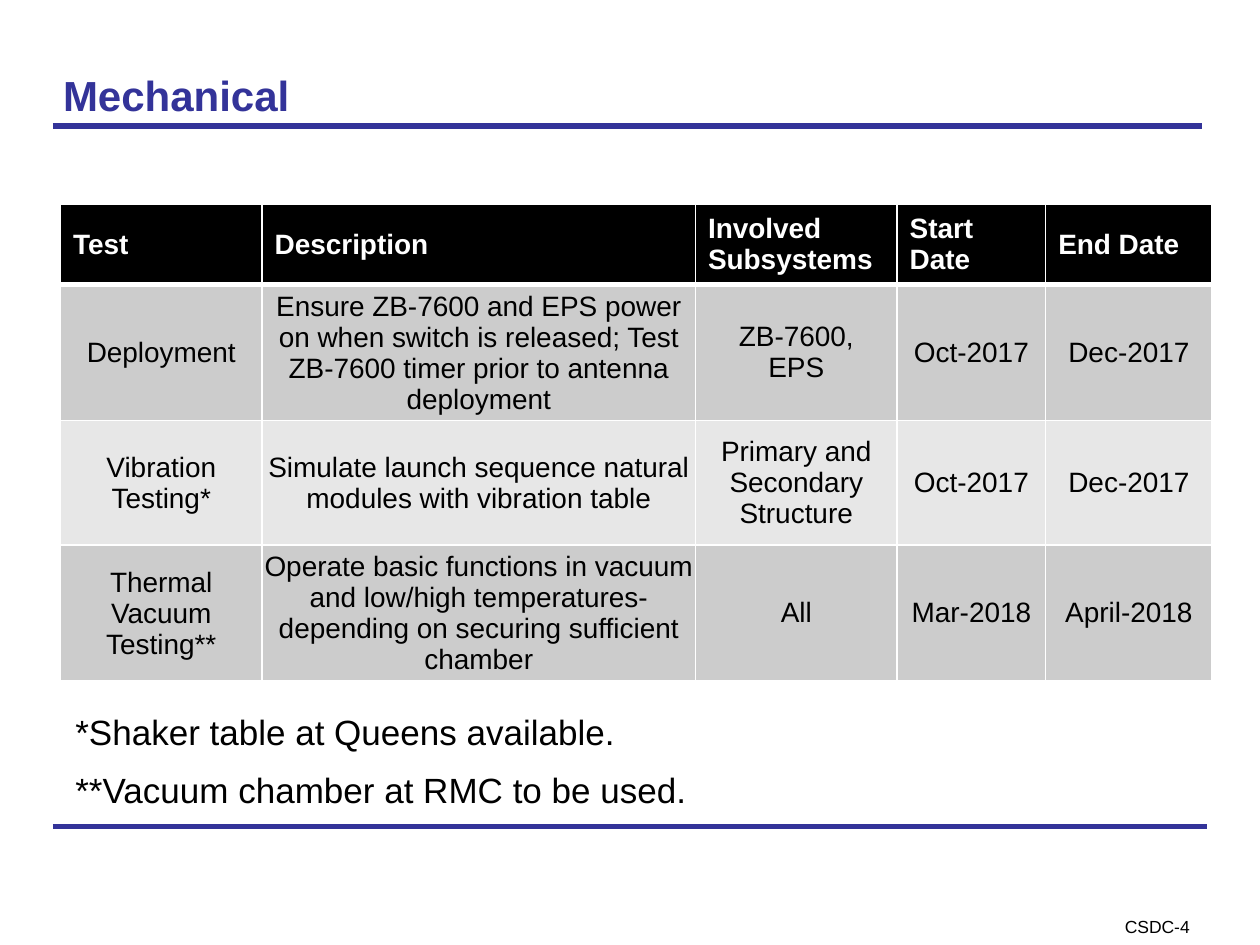
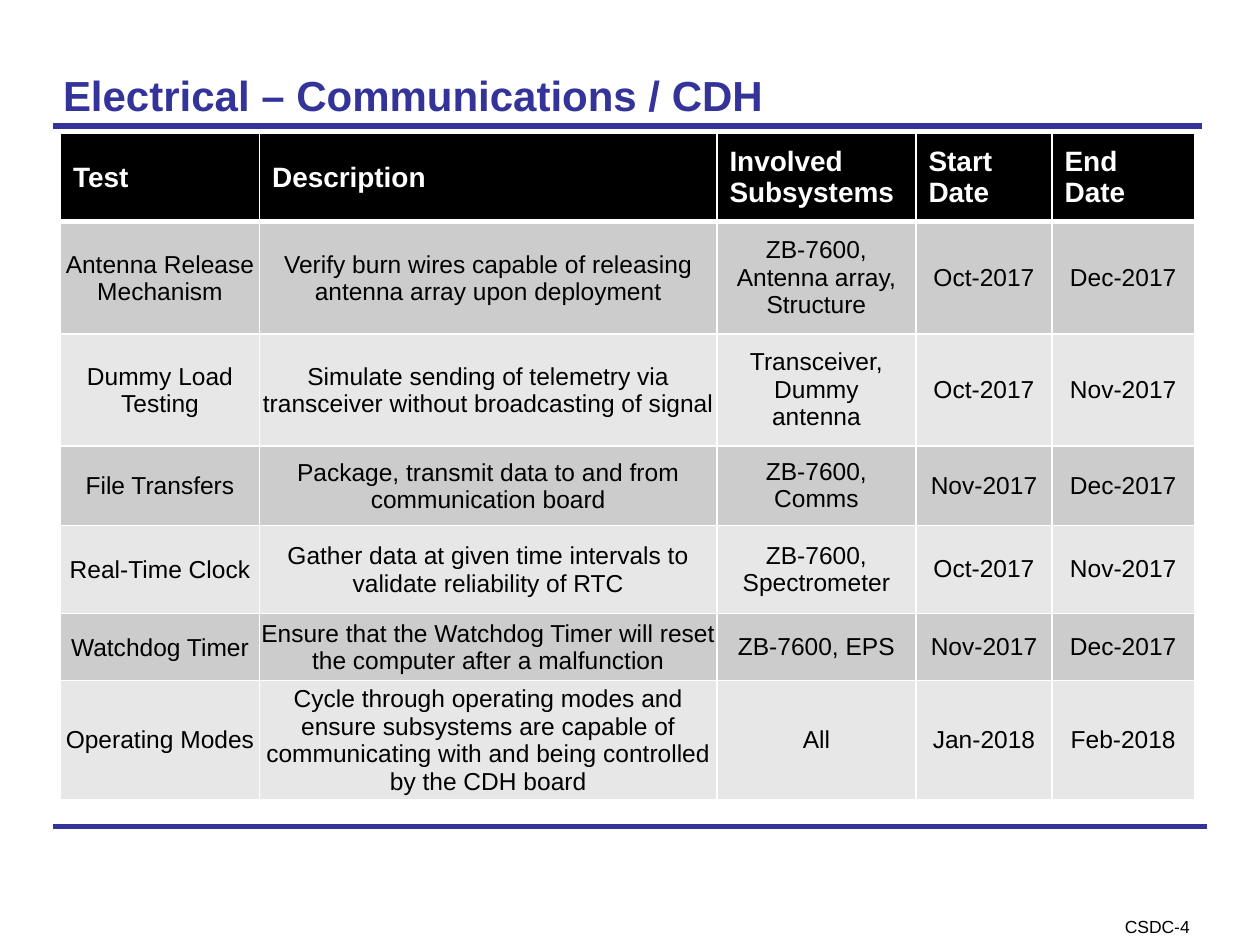
from lxml import etree
from pptx import Presentation
from pptx.dml.color import RGBColor
from pptx.enum.shapes import MSO_CONNECTOR
from pptx.enum.text import MSO_ANCHOR, PP_ALIGN
from pptx.oxml.ns import qn
from pptx.util import Inches, Pt

STRAIGHT = MSO_CONNECTOR.STRAIGHT
TOP, MIDDLE = MSO_ANCHOR.TOP, MSO_ANCHOR.MIDDLE
LEFT, CENTER = PP_ALIGN.LEFT, PP_ALIGN.CENTER

NAVY, BLACK, WHITE = "333399", "000000", "FFFFFF"
BANDS = ("CCCCCC", "E7E7E7")

TITLE_STYLE = {"size": Pt(24), "bold": True}
FOOTER_STYLE = {"size": Pt(10)}
NOTE_STYLE = {"size": Pt(20)}
HEADER_STYLE = {"size": Pt(16), "bold": True}

NOTE_SPACING = {"line_spacing": 0.9, "space_before": Pt(11.5)}
TIGHT_CELL = {"margin_left": Inches(0.01), "margin_top": Inches(0.01),
              "margin_right": Inches(0.01), "margin_bottom": 0}
TIGHT_COLUMNS = (0, 1)  # test name and description

HEADINGS = ("Test", "Description", "Involved Subsystems", "Start Date", "End Date")

MECHANICAL_TESTS = [
    ("Deployment",
     "Ensure ZB-7600 and EPS power on when switch is released; "
     "Test ZB-7600 timer prior to antenna deployment",
     "ZB-7600, EPS", "Oct-2017", "Dec-2017"),
    ("Vibration Testing*",
     "Simulate launch sequence natural modules with vibration table",
     "Primary and Secondary Structure", "Oct-2017", "Dec-2017"),
    ("Thermal Vacuum Testing**",
     "Operate basic functions in vacuum and low/high temperatures-"
     "depending on securing sufficient chamber",
     "All", "Mar-2018", "April-2018"),
]

ELECTRICAL_TESTS = [
    ("Antenna Release Mechanism",
     "Verify burn wires capable of releasing antenna array upon deployment",
     "ZB-7600, Antenna array, Structure", "Oct-2017", "Dec-2017"),
    ("Dummy Load Testing",
     "Simulate sending of telemetry via transceiver without broadcasting of signal",
     "Transceiver, Dummy antenna", "Oct-2017", "Nov-2017"),
    ("File Transfers",
     "Package, transmit data to and from communication board",
     "ZB-7600, Comms", "Nov-2017", "Dec-2017"),
    ("Real-Time Clock",
     "Gather data at given time intervals to validate reliability of RTC",
     "ZB-7600, Spectrometer", "Oct-2017", "Nov-2017"),
    ("Watchdog Timer",
     "Ensure that the Watchdog Timer will reset the computer after a malfunction",
     "ZB-7600, EPS", "Nov-2017", "Dec-2017"),
    ("Operating Modes",
     "Cycle through operating modes and ensure subsystems are capable of "
     "communicating with and being controlled by the CDH board",
     "All", "Jan-2018", "Feb-2018"),
]


def color(hex_value):
    return RGBColor.from_string(hex_value)


def apply(target, values):
    for attribute, value in values.items():
        setattr(target, attribute, value)


class Deck:
    """Holds the shared style and the slide being built."""

    font_name = "Arial"

    def __init__(self):
        self.presentation = Presentation()
        apply(self.presentation, {"slide_width": Inches(10), "slide_height": Inches(7.5)})
        self.slide = None

    def new_slide(self, title):
        self.slide = self.presentation.slides.add_slide(self.presentation.slide_layouts[6])
        self.rule(0.42, 9.58, 6.56)
        self.rule(0.42, 9.54, 1)
        self.text((8.65, 7.27, 1.07, 0.14), ["CSDC-4"], FOOTER_STYLE,
                  align=CENTER, insets=(0.08, 0))
        self.text((0.48, 0.44, 9.02, 0.62), [title], TITLE_STYLE, NAVY,
                  anchor=MIDDLE, insets=(0.02, 0.05))

    def style_font(self, font, style, hex_value):
        apply(font, {"name": self.font_name, **style})
        font.color.rgb = color(hex_value)

    def rule(self, left, right, y):
        line = self.slide.shapes.add_connector(
            STRAIGHT, Inches(left), Inches(y), Inches(right), Inches(y))
        line.line.color.rgb = color(NAVY)
        line.line.width = Pt(3)
        etree.SubElement(line._element.spPr, qn("a:effectLst"))

    def text(self, box, lines, style, hex_value=BLACK, align=LEFT, anchor=TOP,
             insets=(0.1, 0.05), spacing=None):
        frame = self.slide.shapes.add_textbox(*map(Inches, box)).text_frame
        side, edge = map(Inches, insets)
        apply(frame, {"word_wrap": True, "vertical_anchor": anchor,
                      "margin_left": side, "margin_right": side,
                      "margin_top": edge, "margin_bottom": edge})
        frame.text = "\n".join(lines)
        for paragraph in frame.paragraphs:
            apply(paragraph, {"alignment": align, **(spacing or {})})
            self.style_font(paragraph.font, style, hex_value)
        frame.paragraphs[0].space_before = Pt(0)

    def border(self, cell, bottom_width):
        properties = cell._tc.get_or_add_tcPr()
        for side, width in (("L", 1), ("R", 1), ("T", 1), ("B", bottom_width)):
            edge = etree.SubElement(properties, qn(f"a:ln{side}"), w=str(Pt(width)))
            fill = etree.SubElement(edge, qn("a:solidFill"))
            etree.SubElement(fill, qn("a:srgbClr"), val=WHITE)

    def cell(self, cell, content, fill, style, hex_value, align, bottom_width=1):
        self.border(cell, bottom_width)
        cell.fill.solid()
        cell.fill.fore_color.rgb = color(fill)
        cell.vertical_anchor = MIDDLE
        cell.text = content
        paragraph = cell.text_frame.paragraphs[0]
        paragraph.alignment = align
        self.style_font(paragraph.font, style, hex_value)

    def schedule(self, top, widths, heights, tests, body_size):
        table = self.slide.shapes.add_table(
            len(heights), len(widths), Inches(0.48), Inches(top),
            Inches(sum(widths)), Inches(sum(heights))).table
        for column, width in zip(table.columns, widths):
            column.width = Inches(width)
        for row, height in zip(table.rows, heights):
            row.height = Inches(height)

        # Header row
        for c, heading in enumerate(HEADINGS):
            self.cell(table.cell(0, c), heading, BLACK, HEADER_STYLE, WHITE, LEFT, 3)

        # Banded test rows
        body_style = {"size": Pt(body_size), "bold": False}
        for r, test in enumerate(tests):
            for c, content in enumerate(test):
                cell = table.cell(r + 1, c)
                self.cell(cell, content, BANDS[r % 2], body_style, BLACK, CENTER)
                if c in TIGHT_COLUMNS:
                    apply(cell, TIGHT_CELL)


def main():
    deck = Deck()

    # Mechanical tests and facility notes
    deck.new_slide("Mechanical")
    deck.text((0.5, 5.63, 9, 1.06),
              ["*Shaker table at Queens available.", "**Vacuum chamber at RMC to be used."],
              NOTE_STYLE, spacing=NOTE_SPACING)
    deck.schedule(1.62, (1.6, 3.44, 1.6, 1.18, 1.32), (0.64, 1.04, 0.99, 1.03),
                  MECHANICAL_TESTS, 16)

    # Communications and data handling tests
    deck.new_slide("Electrical – Communications / CDH")
    deck.schedule(1.06, (1.58, 3.63, 1.58, 1.08, 1.13),
                  (0.7, 0.89, 0.89, 0.63, 0.7, 0.53, 0.88), ELECTRICAL_TESTS, 14)

    deck.presentation.save("out.pptx")


if __name__ == "__main__":
    main()
